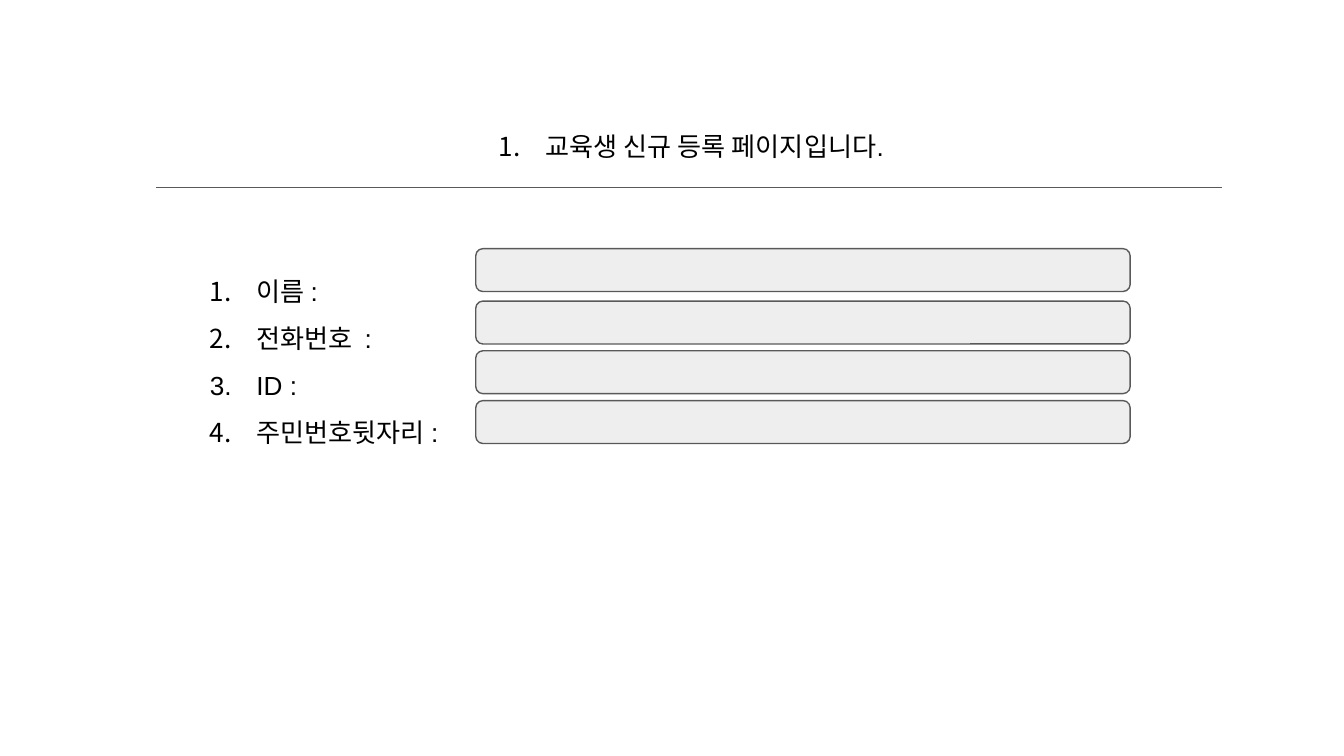
from dataclasses import dataclass

import lxml.etree
import pptx
import pptx.dml.color
import pptx.enum.shapes
import pptx.enum.text
import pptx.oxml.ns
import pptx.util

Pt = pptx.util.Pt
COLORS = {"text": "000000", "field": "EEEEEE", "line": "595959"}
FIELD_LEFT, FIELD_WIDTH, FIELD_HEIGHT = 254.9, 350.6, 23


@dataclass(frozen=True)
class FormField:
    label: str
    top: float


FIELDS = [
    FormField("이름 :", 133.2),
    FormField("전화번호  :", 161.3),
    FormField("ID :", 187.9),
    FormField("주민번호뒷자리 :", 214.6),
]


def color(name: str) -> pptx.dml.color.RGBColor:
    return pptx.dml.color.RGBColor.from_string(COLORS[name])


def add_child(parent, tag: str, **attributes: str):
    return lxml.etree.SubElement(parent, pptx.oxml.ns.qn(tag), attributes)


def write_numbered(shape, lines: list[str], spacing: float) -> None:
    frame = shape.text_frame
    frame.text = "\n".join(lines)
    frame.word_wrap = True
    frame.auto_size = pptx.enum.text.MSO_AUTO_SIZE.NONE
    frame.vertical_anchor = pptx.enum.text.MSO_ANCHOR.TOP
    frame.margin_left = frame.margin_right = Pt(7.2)
    frame.margin_top = frame.margin_bottom = Pt(7.2)
    for paragraph in frame.paragraphs:
        properties = paragraph._p.get_or_add_pPr()
        properties.set("marL", str(Pt(36)))
        properties.set("indent", str(Pt(-25)))
        bullet_color = add_child(properties, "a:buClr")
        add_child(bullet_color, "a:srgbClr", val=COLORS["text"])
        add_child(properties, "a:buAutoNum", type="arabicPeriod")
        paragraph.alignment = pptx.enum.text.PP_ALIGN.LEFT
        paragraph.line_spacing = spacing
        for run in paragraph.runs:
            run.font.name = "Arial"
            run.font.size = Pt(14)
            run.font.color.rgb = color("text")


def add_title(slide, text: str) -> None:
    title = slide.shapes.title
    title.left, title.top = Pt(249.1), Pt(62.6)
    title.width, title.height = Pt(283.7), Pt(50.4)
    write_numbered(title, [text], 1.0)


def add_divider(slide) -> None:
    divider = slide.shapes.add_connector(
        pptx.enum.shapes.MSO_CONNECTOR.STRAIGHT,
        Pt(83.5), Pt(100.6), Pt(654.5), Pt(100.6),
    )
    divider.line.color.rgb = color("line")
    divider.line.width = Pt(0.75)
    add_child(divider._element.spPr, "a:effectLst")


def add_field(slide, field: FormField) -> None:
    box = slide.shapes.add_shape(
        pptx.enum.shapes.MSO_SHAPE.ROUNDED_RECTANGLE,
        Pt(FIELD_LEFT), Pt(field.top), Pt(FIELD_WIDTH), Pt(FIELD_HEIGHT),
    )
    box.shadow.inherit = False
    box.fill.solid()
    box.fill.fore_color.rgb = color("field")
    box.line.color.rgb = color("line")
    box.line.width = Pt(0.75)


def main() -> None:
    presentation = pptx.Presentation()
    presentation.slide_width, presentation.slide_height = Pt(720), Pt(405)
    slide = presentation.slides.add_slide(presentation.slide_layouts[5])
    add_divider(slide)
    add_title(slide, "교육생 신규 등록 페이지입니다.")
    labels = slide.shapes.add_textbox(Pt(94.3), Pt(131.8), Pt(231.1), Pt(98.6))
    write_numbered(labels, [field.label for field in FIELDS], 1.5)
    for field in FIELDS:
        add_field(slide, field)
    presentation.save("out.pptx")


if __name__ == "__main__":
    main()
